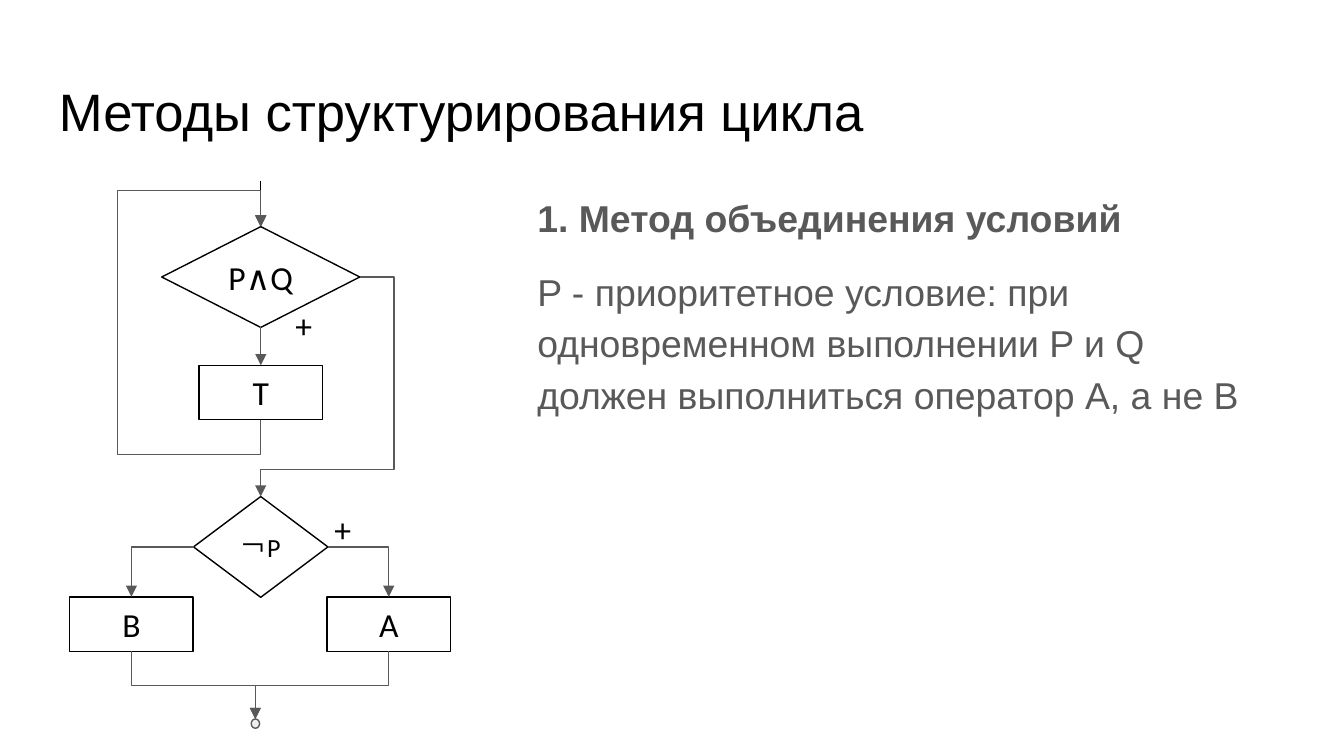
from lxml.etree import SubElement
from pptx import Presentation
from pptx.dml.color import RGBColor
from pptx.enum.shapes import MSO_CONNECTOR, MSO_SHAPE
from pptx.enum.text import MSO_ANCHOR, PP_ALIGN
from pptx.oxml.ns import qn
from pptx.util import Pt

BLACK, GRAY, WHITE, PALE = "000000", "595959", "FFFFFF", "EEEEEE"
AXIS, LEFT, RIGHT, EXIT = 139.7, 70.4, 208.3, 136.8
LOOP_LEFT, LOOP_RIGHT = 62.8, 211.2
ENTRY, LOOP_TOP, LOOP_BOTTOM, BYPASS = 97.2, 102.2, 243.6, 251.4
JOIN, END = 367.3, 385.2
BOX = (66.2, 29.2)

TITLE = [("Методы структурирования цикла", {"size": Pt(28.2)}, {})]
METHOD = [
    ("1. Метод объединения условий", {"size": Pt(20), "bold": True},
     {"line_spacing": 1.15}),
    ("P - приоритетное условие: при одновременном выполнении P и Q "
     "должен выполниться оператор А, а не В", {"size": Pt(20), "bold": False},
     {"line_spacing": 1.15, "space_before": Pt(12), "space_after": Pt(12)}),
]
BLOCKS = {
    "loop test": (MSO_SHAPE.FLOWCHART_DECISION, AXIS, 148.4, 106.1, 54, "P∧Q", 18),
    "exit test": (MSO_SHAPE.FLOWCHART_DECISION, AXIS, 293, 72, 54, "￢P", 14),
    "body": (MSO_SHAPE.FLOWCHART_PROCESS, AXIS, 210.3, *BOX, "T", 18),
    "A": (MSO_SHAPE.FLOWCHART_PROCESS, RIGHT, 334.4, *BOX, "A", 18),
    "B": (MSO_SHAPE.FLOWCHART_PROCESS, LEFT, 334.4, *BOX, "B", 18),
}
PLUS_SIGNS = [(151.2, 159.8), (172.1, 269.3)]


def color(hex_value):
    return RGBColor.from_string(hex_value)


def style_line(line, hex_value):
    line.color.rgb = color(hex_value)
    line.width = Pt(0.75)


def add_arrowhead(line):
    SubElement(line._get_or_add_ln(), qn("a:tailEnd"), type="triangle")


def write(frame, paragraphs, font_name, hex_value, inset_y=3.6, **frame_format):
    settings = {"word_wrap": True, "margin_left": Pt(7.2), "margin_right": Pt(7.2),
                "margin_top": Pt(inset_y), "margin_bottom": Pt(inset_y), **frame_format}
    for name, value in settings.items():
        setattr(frame, name, value)
    for index, (words, font_format, paragraph_format) in enumerate(paragraphs):
        paragraph = frame.paragraphs[0] if index == 0 else frame.add_paragraph()
        for name, value in paragraph_format.items():
            setattr(paragraph, name, value)
        run = paragraph.add_run()
        run.text = words
        run.font.color.rgb = color(hex_value)
        for name, value in {"name": font_name, **font_format}.items():
            setattr(run.font, name, value)


def add_label(shapes, left, top, width, height, *content, **frame_format):
    label = shapes.add_textbox(Pt(left), Pt(top), Pt(width), Pt(height))
    write(label.text_frame, *content, **frame_format)


def add_node(shapes, kind, x, y, width, height, fill, outline):
    node = shapes.add_shape(kind, Pt(x - width / 2), Pt(y - height / 2),
                            Pt(width), Pt(height))
    node.shadow.inherit = False
    node.fill.solid()
    node.fill.fore_color.rgb = color(fill)
    style_line(node.line, outline)
    return node


def add_arrow(shapes, start, end, hex_value):
    arrow = shapes.add_connector(MSO_CONNECTOR.STRAIGHT, *map(Pt, start + end))
    style_line(arrow.line, hex_value)
    add_arrowhead(arrow.line)
    SubElement(arrow._element.spPr, qn("a:effectLst"))


def add_route(shapes, points):
    start, *corners = [(Pt(x), Pt(y)) for x, y in points]
    builder = shapes.build_freeform(*start)
    builder.add_line_segments(corners, close=False)
    route = builder.convert_to_shape()
    route.shadow.inherit = False
    route.fill.background()
    style_line(route.line, GRAY)
    add_arrowhead(route.line)


def port(block, side_x, side_y):
    _, x, y, width, height, *_ = BLOCKS[block]
    return x + side_x * width / 2, y + side_y * height / 2


def main():
    deck = Presentation()
    deck.slide_width, deck.slide_height = Pt(720), Pt(405)
    shapes = deck.slides.add_slide(deck.slide_layouts[6]).shapes

    add_label(shapes, 24.5, 35.3, 671, 45.4, TITLE, "Arial", BLACK, inset_y=7.2)
    add_label(shapes, 280.8, 97.2, 414.7, 124.7, METHOD, "Arial", GRAY)

    for kind, x, y, width, height, words, size in BLOCKS.values():
        block = add_node(shapes, kind, x, y, width, height, WHITE, BLACK)
        write(block.text_frame,
              [(words, {"size": Pt(size)}, {"alignment": PP_ALIGN.CENTER})],
              "Calibri", BLACK, vertical_anchor=MSO_ANCHOR.MIDDLE)
    add_node(shapes, MSO_SHAPE.OVAL, EXIT, END + 2.5, 4.5, 5, PALE, GRAY)

    for left, top in PLUS_SIGNS:
        add_label(shapes, left, top, 20.9, 28.8,
                  [("+", {"size": Pt(18)}, {})], "Calibri", BLACK)

    loop_entry = port("loop test", 0, -1)
    add_arrow(shapes, (AXIS, ENTRY), loop_entry, BLACK)
    add_arrow(shapes, port("loop test", 0, 1), port("body", 0, -1), GRAY)

    add_route(shapes, [port("body", 0, 1), (AXIS, LOOP_BOTTOM), (LOOP_LEFT, LOOP_BOTTOM),
                       (LOOP_LEFT, LOOP_TOP), (AXIS, LOOP_TOP), loop_entry])
    bypass_start = port("loop test", 1, 0)
    add_route(shapes, [bypass_start, (LOOP_RIGHT, bypass_start[1]),
                       (LOOP_RIGHT, BYPASS), (AXIS, BYPASS), port("exit test", 0, -1)])

    for branch, side, x in (("A", 1, RIGHT), ("B", -1, LEFT)):
        fork = port("exit test", side, 0)
        add_route(shapes, [fork, (x, fork[1]), port(branch, 0, -1)])
        add_route(shapes, [port(branch, 0, 1), (x, JOIN), (EXIT, JOIN), (EXIT, END)])

    deck.save("out.pptx")


if __name__ == "__main__":
    main()
